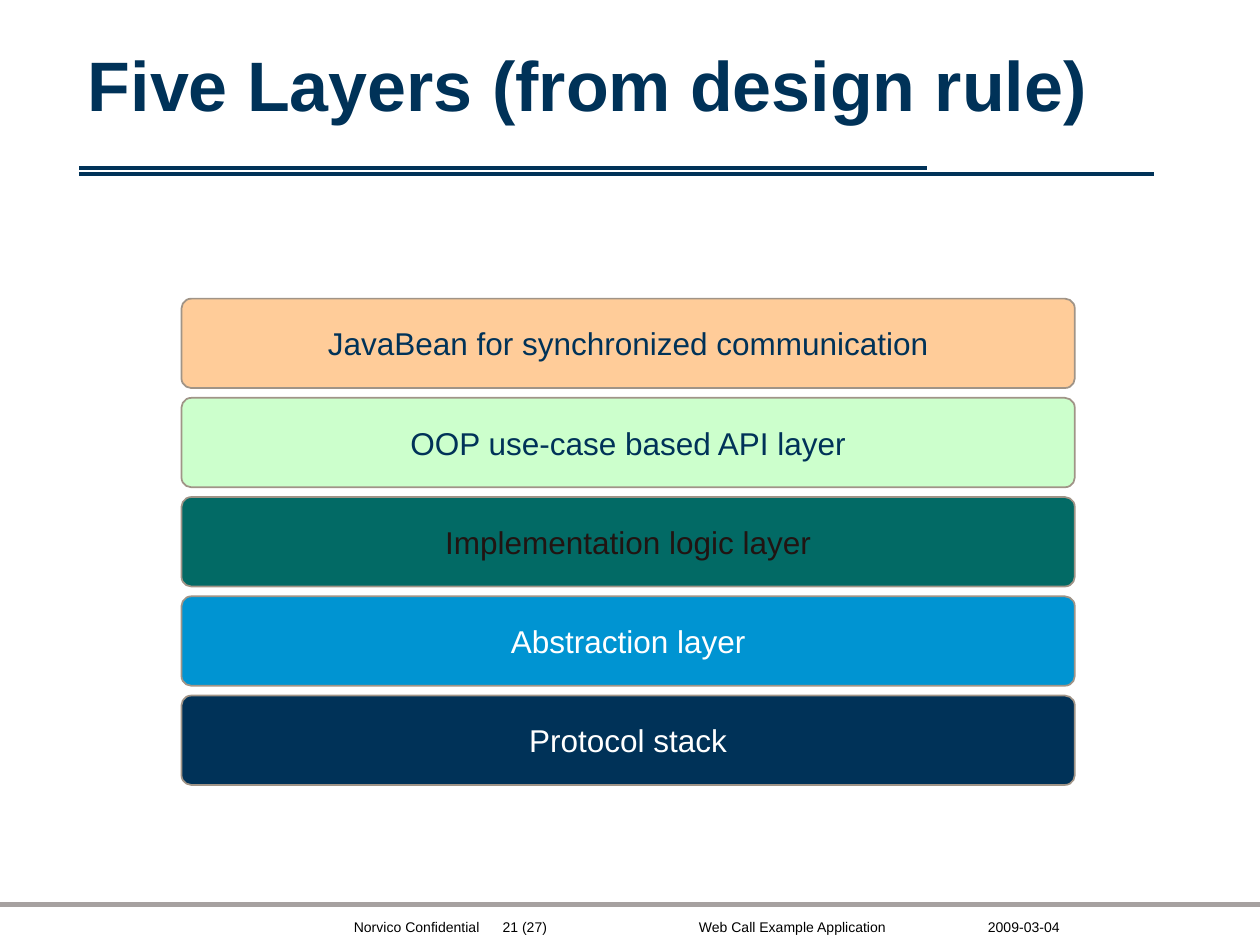
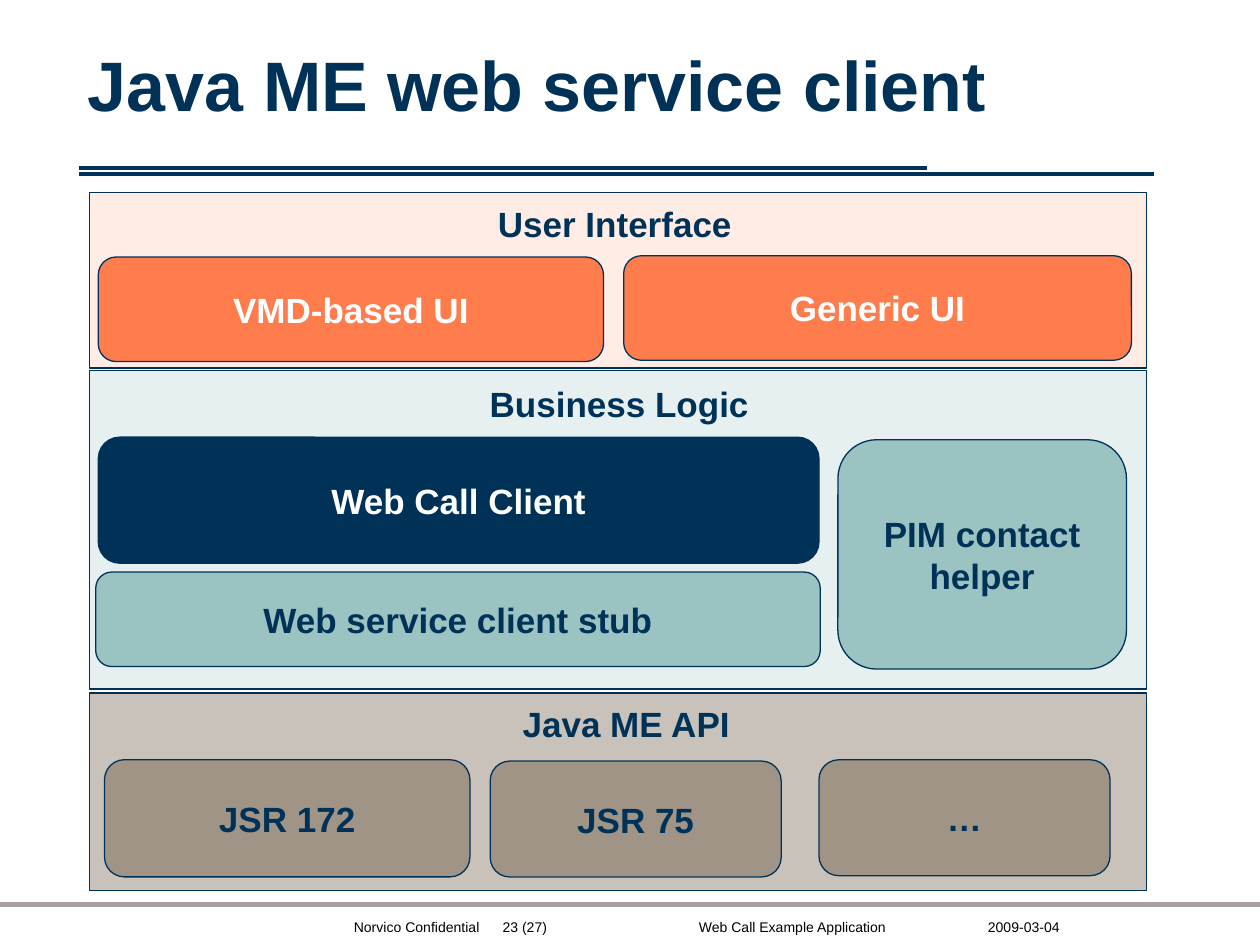
"""Build two slides that show the layers of a web call application."""

from dataclasses import dataclass

import pptx
import pptx.dml.color
import pptx.enum.shapes
import pptx.enum.text
import pptx.oxml.ns
import pptx.util
from lxml import etree
from pptx.util import Inches

ALIGN = pptx.enum.text.PP_ALIGN
ANCHOR = pptx.enum.text.MSO_ANCHOR
PRESET = pptx.enum.shapes.MSO_SHAPE

FONT = "Arial"
NAVY = "003258"
WHITE = "FFFFFF"
BLACK = "000000"
TAUPE = "A09487"
GREY = "A6A1A0"
ORANGE = "FF7D4D"
TEAL = "9AC3C1"

LAYER_FIRST_TOP = 2.37
LAYER_LAST_TOP = 5.52


@dataclass(frozen=True)
class Area:
    """Place and size in inches."""

    left: float
    top: float
    width: float
    height: float

    def lengths(self) -> tuple:
        """Return the four values as lengths."""
        return tuple(map(Inches, (self.left, self.top, self.width, self.height)))


@dataclass(frozen=True)
class Rule:
    """A horizontal line of the slide frame."""

    left: float
    right: float
    top: float
    color: str
    weight: float


@dataclass(frozen=True)
class FooterItem:
    """A small text in the footer."""

    text: str
    area: Area
    align: ALIGN


@dataclass(frozen=True)
class Layer:
    """One bar of the layer stack."""

    text: str
    fill: str
    color: str


@dataclass(frozen=True)
class Block:
    """A rounded component block."""

    text: str
    area: Area
    fill: str
    color: str = NAVY


@dataclass(frozen=True)
class Tier:
    """A background panel with its heading and blocks."""

    heading: str
    heading_area: Area
    area: Area
    fill: str
    blocks: tuple[Block, ...]


RULES = (
    Rule(0, 10, 7.18, GREY, 3),
    Rule(0.63, 7.36, 1.33, NAVY, 2.25),
    Rule(0.63, 9.16, 1.38, NAVY, 2.25),
)

FOOTER = (
    FooterItem("Norvico Confidential", Area(2.71, 7.24, 1.3, 0.24), ALIGN.LEFT),
    FooterItem("Web Call Example Application", Area(5.44, 7.24, 1.7, 0.24), ALIGN.CENTER),
    FooterItem("2009-03-04", Area(7.74, 7.24, 0.77, 0.24), ALIGN.RIGHT),
)

LAYERS = (
    Layer("JavaBean for synchronized communication", "FFCC99", NAVY),
    Layer("OOP use-case based API layer", "CCFFCC", NAVY),
    Layer("Implementation logic layer", "026A65", "211412"),
    Layer("Abstraction layer", "0094D2", WHITE),
    Layer("Protocol stack", NAVY, WHITE),
)

TIERS = (
    Tier("User Interface", Area(3.36, 1.56, 3.04, 0.44),
         Area(0.71, 1.53, 8.39, 1.39), "FFECE5", (
             Block("VMD-based UI", Area(0.78, 2.04, 4.01, 0.83), ORANGE, WHITE),
             Block("Generic UI", Area(4.95, 2.03, 4.03, 0.83), ORANGE, WHITE),
         )),
    Tier("Business Logic", Area(3.13, 2.99, 3.57, 0.44),
         Area(0.71, 2.94, 8.39, 2.53), "E6F0F0", (
             Block("Web service client stub", Area(0.76, 4.54, 5.75, 0.75), TEAL),
             Block("PIM contact\nhelper", Area(6.65, 3.49, 2.29, 1.82), TEAL),
             Block("Web Call Client", Area(0.78, 3.47, 5.72, 1), NAVY, WHITE),
         )),
    Tier("Java ME API", Area(3.36, 5.53, 3.22, 0.44),
         Area(0.71, 5.5, 8.39, 1.57), "C9C2BB", (
             Block("JSR 172", Area(0.83, 6.03, 2.9, 0.93), TAUPE),
             Block("JSR 75", Area(3.89, 6.04, 2.31, 0.92), TAUPE),
             Block("…", Area(6.5, 6.03, 2.31, 0.92), TAUPE),
         )),
)


def rgb(color: str) -> pptx.dml.color.RGBColor:
    """Turn a hex string into a colour."""
    return pptx.dml.color.RGBColor.from_string(color)


def write_text(shape, text: str, *, size: float, color: str = NAVY,
               bold: bool = False, align: ALIGN = ALIGN.CENTER,
               anchor: ANCHOR = ANCHOR.TOP, wrap: bool = True,
               margins: tuple = (0.1, 0.05, 0.1, 0.05)) -> None:
    """Write text into a shape, one paragraph for each line."""
    frame = shape.text_frame
    frame.word_wrap = wrap
    frame.vertical_anchor = anchor
    (frame.margin_left, frame.margin_top,
     frame.margin_right, frame.margin_bottom) = map(Inches, margins)
    frame.text = text
    for paragraph in frame.paragraphs:
        paragraph.alignment = align
        font = paragraph.runs[0].font
        font.name = FONT
        font.size = pptx.util.Pt(size)
        font.bold = bold
        font.color.rgb = rgb(color)


def add_text(slide, text: str, area: Area, **text_format) -> None:
    """Add a text box."""
    write_text(slide.shapes.add_textbox(*area.lengths()), text, **text_format)


def add_box(slide, area: Area, fill: str, line: str = NAVY,
            weight: float = 0.75, corner: float = 0):
    """Add a rectangle, rounded when a corner ratio is given."""
    preset = PRESET.ROUNDED_RECTANGLE if corner else PRESET.RECTANGLE
    shape = slide.shapes.add_shape(preset, *area.lengths())
    if corner:
        shape.adjustments[0] = corner
    shape.shadow.inherit = False
    shape.fill.solid()
    shape.fill.fore_color.rgb = rgb(fill)
    shape.line.color.rgb = rgb(line)
    shape.line.width = pptx.util.Pt(weight)
    return shape


def add_rule(slide, rule: Rule) -> None:
    """Add a horizontal line without a shadow."""
    connector = slide.shapes.add_connector(
        pptx.enum.shapes.MSO_CONNECTOR.STRAIGHT,
        Inches(rule.left), Inches(rule.top), Inches(rule.right), Inches(rule.top))
    connector.line.color.rgb = rgb(rule.color)
    connector.line.width = pptx.util.Pt(rule.weight)
    etree.SubElement(connector._element.spPr, pptx.oxml.ns.qn("a:effectLst"))


def add_framed_slide(presentation, title: str, number: int):
    """Add a blank slide with the shared rules, footer and title."""
    slide = presentation.slides.add_slide(presentation.slide_layouts[6])
    for rule in RULES:
        add_rule(slide, rule)
    page = FooterItem(f"{number} (27)", Area(3.89, 7.24, 0.69, 0.24), ALIGN.LEFT)
    for item in (*FOOTER, page):
        add_text(slide, item.text, item.area, size=8, color=BLACK,
                 align=item.align, wrap=item is page)
    add_text(slide, title, Area(0.6, 0.33, 8.56, 0.67), size=40, bold=True,
             align=ALIGN.LEFT, margins=(0.1, 0, 0, 0))
    return slide


def build_layers(presentation) -> None:
    """Build the slide with the stack of layers."""
    slide = add_framed_slide(presentation, "Five Layers (from design rule)", 21)
    step = (LAYER_LAST_TOP - LAYER_FIRST_TOP) / (len(LAYERS) - 1)
    for index, layer in enumerate(LAYERS):
        area = Area(1.44, LAYER_FIRST_TOP + index * step, 7.09, 0.71)
        bar = add_box(slide, area, layer.fill, TAUPE, weight=1, corner=0.11)
        write_text(bar, layer.text, size=18, color=layer.color, anchor=ANCHOR.MIDDLE)


def build_client(presentation) -> None:
    """Build the slide with the tiers of the client."""
    slide = add_framed_slide(presentation, "Java ME web service client", 23)
    for tier in TIERS:
        add_box(slide, tier.area, tier.fill)
        add_text(slide, tier.heading, tier.heading_area, size=20, bold=True)
        for block in tier.blocks:
            shape = add_box(slide, block.area, block.fill, corner=0.17)
            write_text(shape, block.text, size=20, color=block.color,
                       bold=True, anchor=ANCHOR.MIDDLE)


def main() -> None:
    """Build and save the presentation."""
    presentation = pptx.Presentation()
    presentation.slide_width = Inches(10)
    presentation.slide_height = Inches(7.5)
    build_layers(presentation)
    build_client(presentation)
    presentation.save("out.pptx")


if __name__ == "__main__":
    main()
